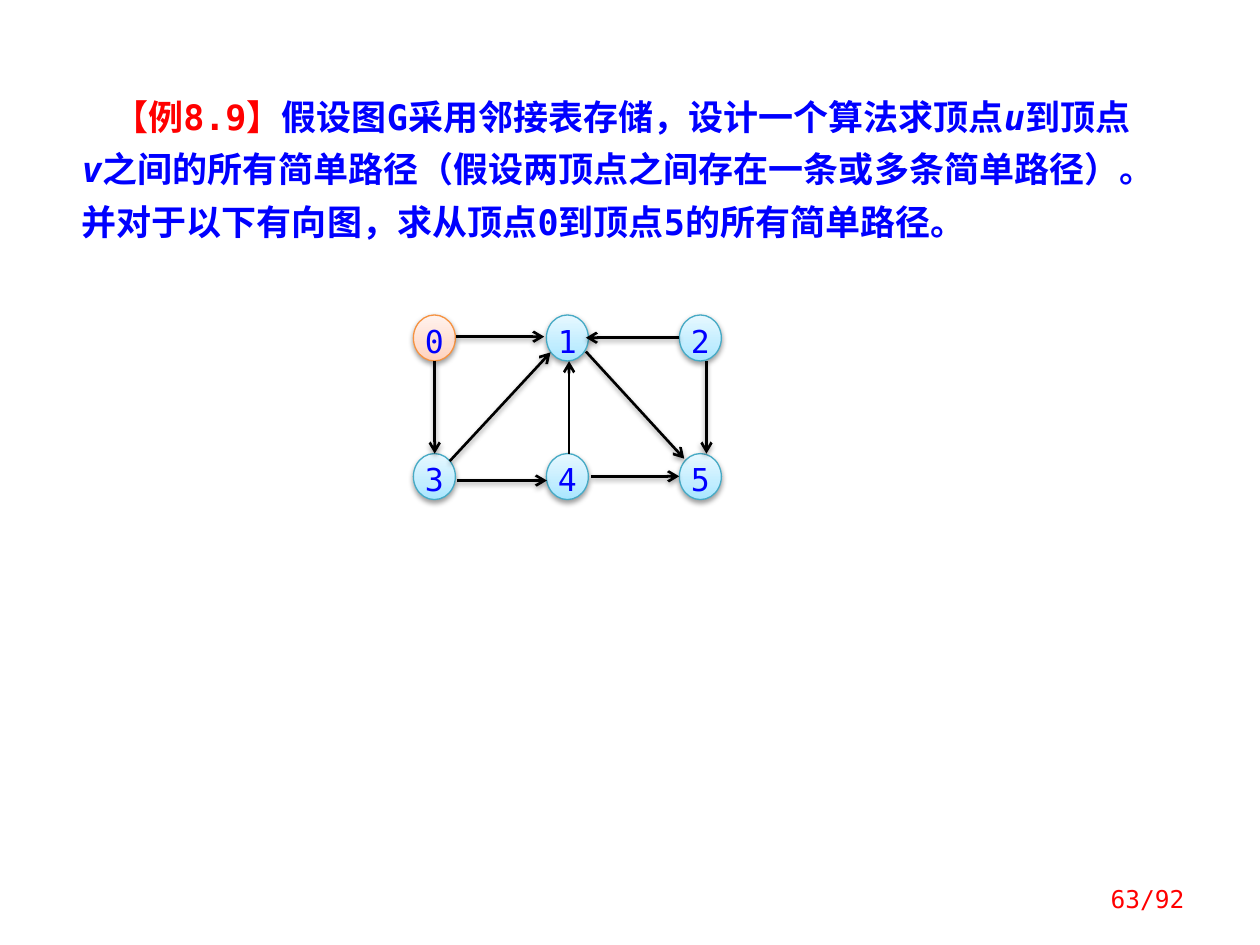
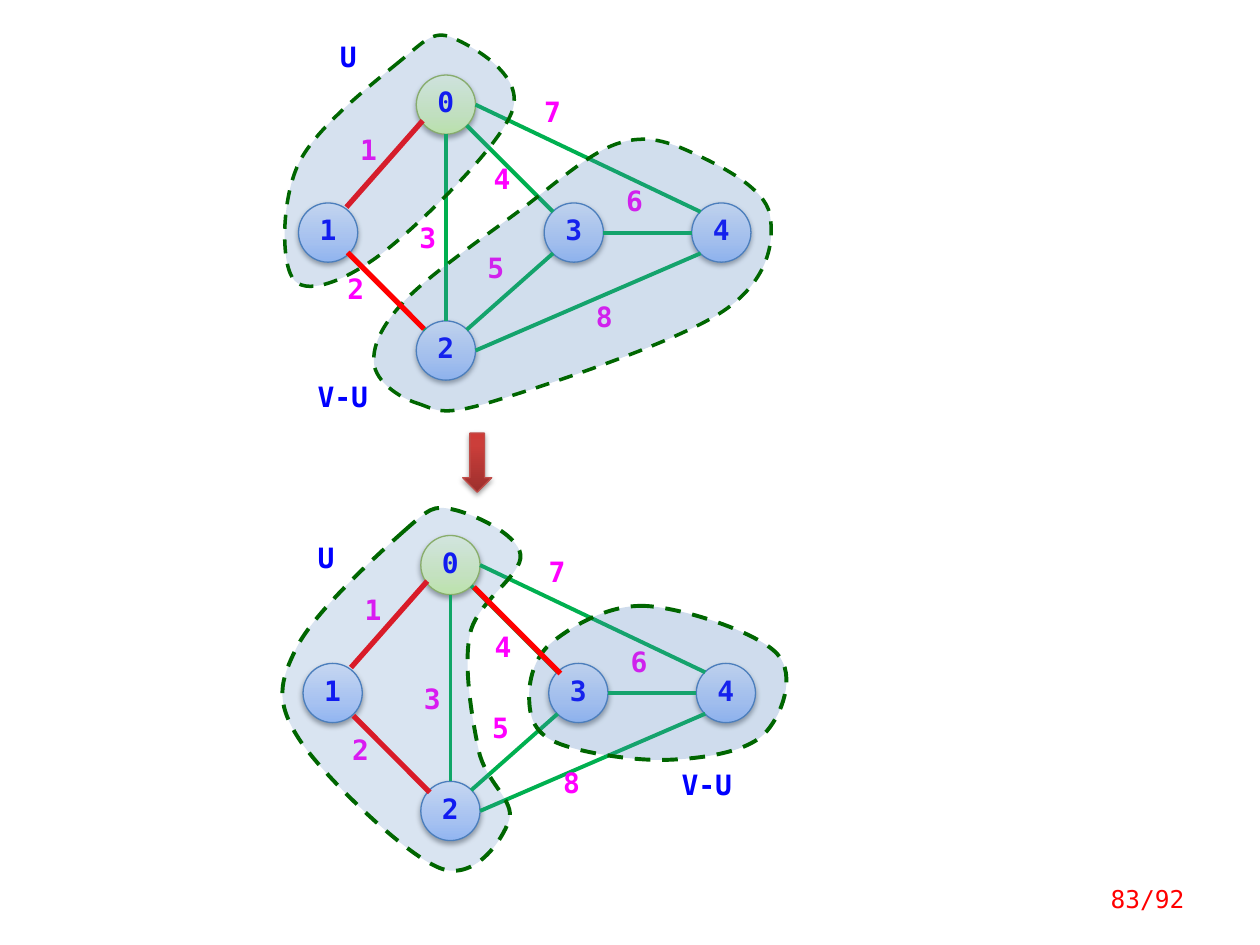
from lxml import etree
from pptx import Presentation
from pptx.dml.color import RGBColor
from pptx.enum.dml import MSO_LINE
from pptx.enum.shapes import MSO_CONNECTOR, MSO_SHAPE
from pptx.enum.text import MSO_ANCHOR, PP_ALIGN
from pptx.oxml.ns import qn
from pptx.util import Pt

OVAL, DOWN_ARROW = MSO_SHAPE.OVAL, MSO_SHAPE.DOWN_ARROW
STRAIGHT, DASH = MSO_CONNECTOR.STRAIGHT, MSO_LINE.DASH
TOP, MIDDLE = MSO_ANCHOR.TOP, MSO_ANCHOR.MIDDLE
LEFT, CENTER, RIGHT = PP_ALIGN.LEFT, PP_ALIGN.CENTER, PP_ALIGN.RIGHT

FONT = "DejaVu Sans Mono"
BLUE, RED, MAGENTA, GREEN, BLACK = "0000FF", "FF0000", "FF00FF", "00B050", "000000"
REGION_FILL, REGION_LINE = "4F81BD", "006600"

# Gradient stops (percent, colour) and outline colour
CYAN_STYLE = ([(0, "A7E6FF"), (35, "C1EDFF"), (100, "E7F8FF")], "46AAC5")
ORANGE_STYLE = ([(0, "FFD2BD"), (35, "FFDED0"), (100, "FFF2ED")], "F69240")
LIME_STYLE = ([(0, "DAFDA7"), (35, "E4FCC2"), (100, "F5FFE7")], "98B955")
BLUE_STYLE = ([(0, "A4C4FF"), (35, "BFD4FF"), (100, "E6EEFF")], "4B7EBC")
RED_STYLE = ([(0, "9C2F2D"), (80, "CB3E3A"), (100, "CE3B37")], "BF4C48")

# Example 8.9: question and directed graph
QUESTION = [
    ("【例8.9】", RED, False),
    ("假设图G采用邻接表存储，设计一个算法求顶点", BLUE, False),
    ("u", BLUE, True),
    ("到顶点", BLUE, False),
    ("v", BLUE, True),
    ("之间的所有简单路径（假设两顶点之间存在一条或多条简单路径）。"
     "并对于以下有向图，求从顶点0到顶点5的所有简单路径。", BLUE, False),
]
# (start, end, has shadow)
ARROWS = [
    ((260.6, 192.4), (311, 192.4), True),      # 0 to 1
    ((388.1, 193), (334.8, 193), True),        # 2 to 1
    ((248.4, 206.4), (248.4, 259.2), True),    # 0 to 3
    ((261.4, 274.6), (312.5, 274.6), True),    # 3 to 4
    ((337.7, 272.2), (388.1, 272.2), True),    # 4 to 5
    ((403.7, 206.4), (403.7, 259.2), True),    # 2 to 5
    ((325.2, 259.2), (325.2, 206.4), False),   # 4 to 1
    ((257, 263.5), (314.6, 201.4), True),      # 3 to 1
    ((334.8, 200.9), (391, 262.1), True),      # 1 to 5
]

# Spanning tree steps: places relative to vertex 0
VERTEX = 33.84
VERTICES = [(0, 0), (-67.3, 73.1), (0, 140.5), (73.1, 73.1), (157.4, 73.1)]
WEIGHTS = {1: (-39.2, 32.8), 2: (-46.4, 112.6), 3: (-5.3, 83.5), 4: (37.1, 49.7),
           5: (33.6, 100.4), 6: (112.8, 62.2), 7: (66, 11.1), 8: (95.6, 128.5)}
# Attachment sites as fractions of a vertex box
SITES = {"N": (0.5, 0), "S": (0.5, 1), "E": (1, 0.5), "W": (0, 0.5),
         "NW": (0.15, 0.15), "NE": (0.85, 0.15), "SW": (0.15, 0.85), "SE": (0.85, 0.85)}
EDGE_12, EDGE_03 = (1, "SE", 2, "NW"), (0, "SE", 3, "NW")
EDGE_01 = (0, "SW", 1, "NE")
EDGES = [(0, "S", 2, "N"), EDGE_03, (3, "SW", 2, "NE"), (3, "E", 4, "W"),
         (0, "E", 4, "NW"), (2, "E", 4, "SW")]
# chosen: tree edges with a nudge; newest: the edge just picked;
# regions: (percent opaque, points of a closed smooth curve)
STEPS = [
    dict(origin=(237.9, 42.9), edges=[EDGE_12] + EDGES, moved={},
         chosen=[(EDGE_01, (-1.4, -2.7))], newest=(EDGE_12, (-0.7, -0.5)),
         names=[("U", 187.2, 23, 28), ("V-U", 174.4, 217.2, 50.4)], outline=2,
         regions=[
             (23, [(228.2, 35.3), (170.6, 93.6), (168.5, 160.6), (220.3, 143.3),
                   (293, 62.6), (258.5, 21.6)]),
             (26, [(238.3, 230.4), (280.8, 229.7), (413.3, 177.8), (439.9, 122.4),
                   (396.7, 87.8), (352.8, 82.1), (295.2, 121.7), (231.1, 172.1),
                   (213.8, 208.1)])]),
    dict(origin=(240.5, 306), edges=EDGES, moved={4: (35.1, 53.8), 8: (74.3, 131.8)},
         chosen=[(EDGE_01, (-1.4, -2.7)), (EDGE_12, (0, 1.2))],
         newest=(EDGE_03, (1.6, 0.7)),
         names=[("U", 174.4, 308.9, 28), ("V-U", 382.4, 438.5, 50.4)], outline=2.25,
         regions=[
             (21, [(231.1, 303.3), (169.9, 369.4), (170.6, 421.9), (251.3, 496.1),
                   (290.9, 468.7), (273.6, 429.1), (268.6, 362.2), (297.4, 316.8),
                   (258.5, 291.1)]),
             (27, [(369.4, 346.3), (316.1, 366.5), (302.4, 398.9), (317.5, 424.1),
                   (381.6, 434.2), (436.3, 419.8), (444.2, 373.7)])]),
]


def rgb(color):
    return RGBColor.from_string(color)


def sub(parent, tag, **attrs):
    return etree.SubElement(parent, qn(tag), {k: str(v) for k, v in attrs.items()})


def add_shadow(effects, alpha=38):
    shadow = sub(effects, "a:outerShdw", blurRad=Pt(3.1), dist=Pt(1.6),
                 dir=5400000, rotWithShape=0)
    sub(sub(shadow, "a:srgbClr", val=BLACK), "a:alpha", val=alpha * 1000)


def style_paragraph(p, size, color, bold=False, align=LEFT):
    p.alignment = align
    f = p.font
    f.name, f.size, f.bold = FONT, Pt(size), bold
    f.color.rgb = rgb(color)


def add_text(s, box, text, size, color, bold=False, align=LEFT, anchor=TOP, spacing=None):
    tf = s.shapes.add_textbox(*map(Pt, box)).text_frame
    tf.word_wrap, tf.vertical_anchor = True, anchor
    p = tf.paragraphs[0]
    p.text = text
    p.line_spacing = spacing
    style_paragraph(p, size, color, bold, align)
    return p


def add_glossy(s, kind, box, style):
    """Preset shape with an upward gradient, thin outline and soft shadow."""
    stops, outline = style
    sp = s.shapes.add_shape(kind, *map(Pt, box))
    sp.fill.background()
    props = sp.fill._xPr
    grad = etree.Element(qn("a:gradFill"), rotWithShape="1")
    stop_list = sub(grad, "a:gsLst")
    for pos, color in stops:
        sub(sub(stop_list, "a:gs", pos=pos * 1000), "a:srgbClr", val=color)
    sub(grad, "a:lin", ang=16200000, scaled=0)
    props.replace(props.find(qn("a:noFill")), grad)
    sp.line.color.rgb = rgb(outline)
    sp.line.width = Pt(0.75)
    sp.shadow.inherit = False
    add_shadow(props.find(qn("a:effectLst")))
    return sp


def add_line(s, start, end, color, width, arrow=False, shadow=False):
    c = s.shapes.add_connector(STRAIGHT, *map(Pt, start + end))
    c.line.color.rgb = rgb(color)
    c.line.width = Pt(width)
    if arrow:
        sub(c.line._get_or_add_ln(), "a:tailEnd", type="arrow")
    effects = sub(c._element.spPr, "a:effectLst")
    if shadow:
        add_shadow(effects)


def bezier_points(points):
    """Two controls and an end point for each span of a closed smooth curve."""
    n = len(points)
    for i in range(n):
        a, b, c, d = (points[(i + k) % n] for k in (-1, 0, 1, 2))
        yield tuple(q + (r - p) / 6 for p, q, r in zip(a, b, c))
        yield tuple(r - (t - q) / 6 for q, r, t in zip(b, c, d))
        yield c


def add_region(s, points, opacity, outline):
    builder = s.shapes.build_freeform(*map(Pt, points[0]))
    builder.add_line_segments([(Pt(x), Pt(y)) for x, y in bezier_points(points)])
    sp = builder.convert_to_shape()
    # Join each three segments into one curve
    outline_el = next(sp._element.iter(qn("a:path")))
    segments = outline_el.findall(qn("a:lnTo"))
    for i in range(0, len(segments), 3):
        curve = sub(outline_el, "a:cubicBezTo")
        for segment in segments[i:i + 3]:
            curve.append(segment[0])
            outline_el.remove(segment)
    sub(outline_el, "a:close")
    sp.fill.solid()
    sp.fill.fore_color.rgb = rgb(REGION_FILL)
    sub(sp.fill._xPr.find(qn("a:solidFill"))[0], "a:alpha", val=opacity * 1000)
    sp.line.color.rgb = rgb(REGION_LINE)
    sp.line.width = Pt(outline)
    sp.line.dash_style = DASH
    sp.shadow.inherit = False


def add_page_number(s, number):
    add_text(s, (596.2, 499.4, 87.8, 28.8), f"{number}/92", 14, RED,
             align=RIGHT, anchor=MIDDLE)


def build_path_question(prs):
    s = prs.slides.add_slide(prs.slide_layouts[6])
    p = add_text(s, (39.6, 45, 624.2, 98), "", 20, BLUE, bold=True, spacing=Pt(30))
    p._p.get_or_add_pPr().set("indent", str(Pt(18)))
    for text, color, italic in QUESTION:
        r = p.add_run()
        r.text = text
        f = r.font
        f.name, f.size, f.bold, f.italic = FONT, Pt(20), True, italic
        f.color.rgb = rgb(color)

    # Vertices on a grid of two rows by three columns
    for v in range(6):
        row, col = divmod(v, 3)
        box = (236.2 + 76 * col, 180 + 79.2 * row, 24, 26.3)
        sp = add_glossy(s, OVAL, box, CYAN_STYLE if v else ORANGE_STYLE)
        tf = sp.text_frame
        tf.margin_left = tf.margin_right = tf.margin_top = tf.margin_bottom = 0
        tf.vertical_anchor = TOP
        tf.text = str(v)
        style_paragraph(tf.paragraphs[0], 18, BLUE, align=CENTER)
    for start, end, shadow in ARROWS:
        add_line(s, start, end, BLACK, 1.5, arrow=True, shadow=shadow)
    add_page_number(s, 63)


def add_edge(s, origin, edge, color, width, nudge=(0, 0)):
    a, site_a, b, site_b = edge
    start, end = (
        tuple(o + v + VERTEX * f + d
              for o, v, f, d in zip(origin, VERTICES[n], SITES[site], nudge))
        for n, site in ((a, site_a), (b, site_b)))
    add_line(s, start, end, color, width)


def add_step(s, step):
    x0, y0 = origin = step["origin"]
    for v, (dx, dy) in enumerate(VERTICES):
        sp = add_glossy(s, OVAL, (x0 + dx, y0 + dy, VERTEX, VERTEX),
                        BLUE_STYLE if v else LIME_STYLE)
        tf = sp.text_frame
        tf.vertical_anchor = MIDDLE
        tf.text = str(v)
        tf.paragraphs[0].line_spacing = 0.8
        style_paragraph(tf.paragraphs[0], 16, BLUE, bold=True, align=CENTER)
    for edge in step["edges"]:
        add_edge(s, origin, edge, GREEN, 2.25)
    for weight, (dx, dy) in {**WEIGHTS, **step["moved"]}.items():
        add_text(s, (x0 + dx, y0 + dy, 33.8, 23), str(weight), 16, MAGENTA,
                 bold=True, spacing=0.8)
    for edge, nudge in step["chosen"]:
        add_edge(s, origin, edge, RED, 3, nudge)

    # Vertex sets lie over the graph, under the newest edge
    for name, x, y, width in step["names"]:
        add_text(s, (x, y, width, 23), name, 16, BLUE, bold=True, spacing=0.8)
    for opacity, points in step["regions"]:
        add_region(s, points, opacity, step["outline"])
    edge, nudge = step["newest"]
    add_edge(s, origin, edge, RED, 3, nudge)


def build_spanning_tree(prs):
    s = prs.slides.add_slide(prs.slide_layouts[6])
    for step in STEPS:
        add_step(s, step)
    add_glossy(s, DOWN_ARROW, (264.4, 247.5, 16.6, 33.8), RED_STYLE)
    add_page_number(s, 83)


def main():
    prs = Presentation()
    prs.slide_width, prs.slide_height = Pt(720), Pt(540)
    build_path_question(prs)
    build_spanning_tree(prs)
    prs.save("out.pptx")


if __name__ == "__main__":
    main()
